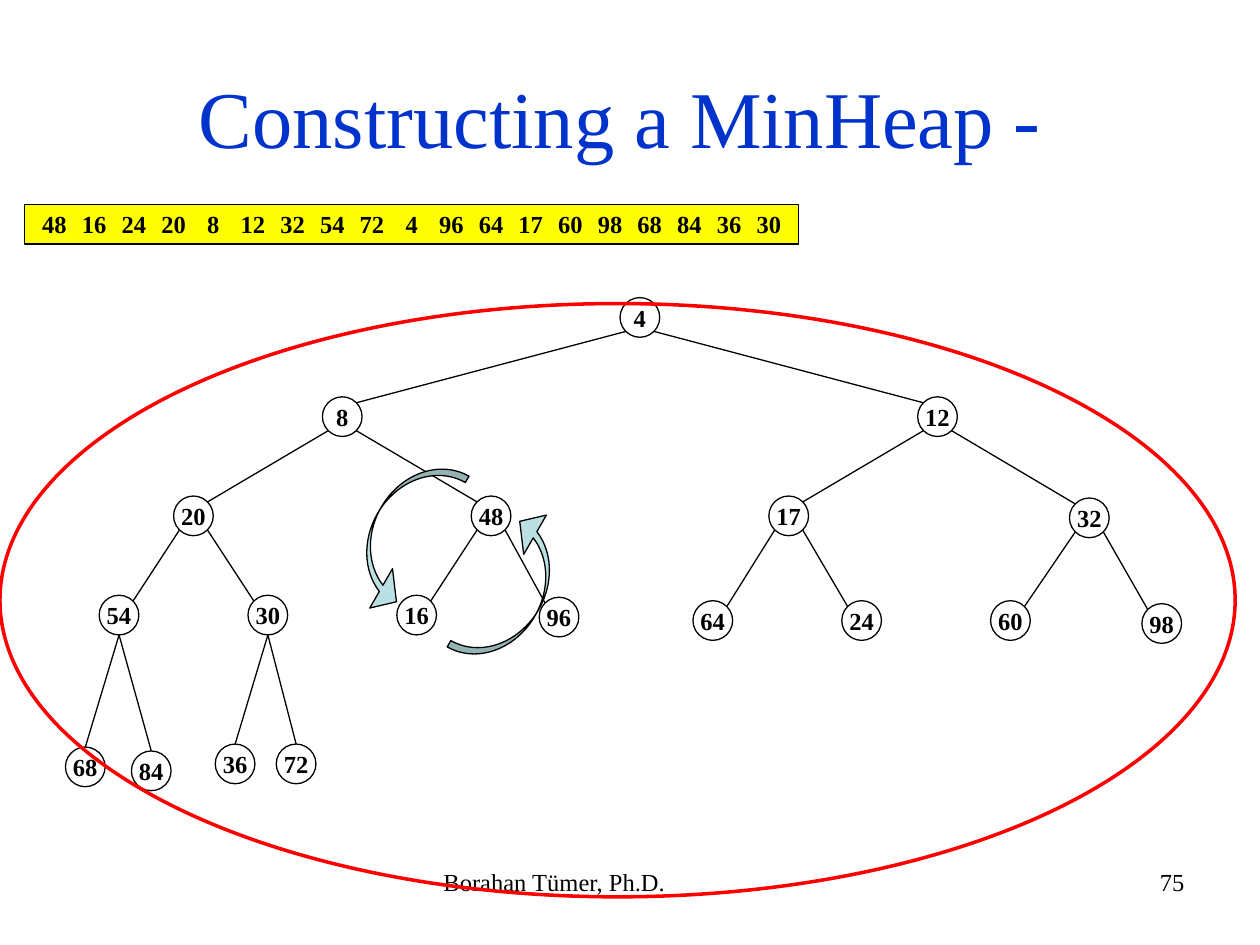
from lxml import etree
from pptx import Presentation
from pptx.dml.color import RGBColor
from pptx.enum import shapes, text
from pptx.oxml.ns import qn
from pptx.util import Cm, Pt

TITLE = "Constructing a MinHeap - "
AUTHOR, PAGE = "Borahan Tümer, Ph.D.", "75"
ARRAY = [48, 16, 24, 20, 8, 12, 32, 54, 72, 4,
         96, 64, 17, 60, 98, 68, 84, 36, 30]

# Heap in level order: key, left, top (cm)
HEAP = [
    (4, 12.5, 6),
    (8, 6.5, 8), (12, 18.5, 8),
    (20, 3.5, 10), (48, 9.5, 10), (17, 15.5, 10), (32, 21.56, 10.04),
    (54, 2, 12), (30, 5, 12), (16, 8, 12), (96, 10.87, 12.04),
    (64, 13.97, 12.11), (24, 16.97, 12.11), (60, 19.97, 12.11),
    (98, 23.02, 12.17),
    (68, 1.32, 15.06), (84, 2.65, 15.14), (36, 4.34, 15), (72, 5.57, 15),
]
# Swap arrows: left, top (cm), rotation
SWAPS = [(9.78, 10.19, 210), (7.47, 9.07, 30)]

SIZE = 0.8      # node diameter and array cell width
DIAG = 0.28     # centre to rim along each axis at 45 degrees
LEAF = 15       # first index of the bottom level
FONT = "Times New Roman"
COLORS = {"ink": "000000", "title": "0033CC", "bar": "FFFF00",
          "ring": "FF0000", "swap": "BBE0E3"}
KIND = shapes.MSO_SHAPE
MID, LEFT, RIGHT = (text.PP_ALIGN.CENTER, text.PP_ALIGN.LEFT,
                    text.PP_ALIGN.RIGHT)


def color(name):
    return RGBColor.from_string(COLORS[name])


def write(shape, words, size=14, ink="ink", bold=False, align=MID,
          anchor=text.MSO_ANCHOR.MIDDLE, inset=(0, 0), wrap=False):
    frame = shape.text_frame
    frame.word_wrap = wrap
    frame.auto_size = text.MSO_AUTO_SIZE.NONE
    frame.vertical_anchor = anchor
    frame.margin_left = frame.margin_right = Cm(inset[0])
    frame.margin_top = frame.margin_bottom = Cm(inset[1])
    para = frame.paragraphs[0]
    para.alignment = align
    run = para.add_run()
    run.text = str(words)
    run.font.name, run.font.size, run.font.bold = FONT, Pt(size), bold
    run.font.color.rgb = color(ink)


def draw(slide, kind, box, fill=None, line="ink", width=0.75):
    shape = slide.shapes.add_shape(kind, *map(Cm, box))
    shape.shadow.inherit = False
    if fill:
        shape.fill.solid()
        shape.fill.fore_color.rgb = color(fill)
    else:
        shape.fill.background()
    if line:
        shape.line.color.rgb = color(line)
        shape.line.width = Pt(width)
    else:
        shape.line.fill.background()
    return shape


def link(slide, index):
    """Join the node at index to its parent."""
    half = SIZE / 2
    (_, x1, y1), (_, x2, y2) = HEAP[(index - 1) // 2], HEAP[index]
    side = -1 if index % 2 else 1
    dx, dy = (0, half) if index >= LEAF else (side * DIAG, DIAG)
    ends = (x1 + half + dx, y1 + half + dy, x2 + half - dx, y2 + half - dy)
    edge = slide.shapes.add_connector(shapes.MSO_CONNECTOR.STRAIGHT,
                                      *map(Cm, ends))
    edge.line.color.rgb = color("ink")
    edge.line.width = Pt(0.75)
    etree.SubElement(edge._element.spPr, qn("a:effectLst"))


def main():
    deck = Presentation()
    deck.slide_width, deck.slide_height = Cm(25.4), Cm(19.05)
    slide = deck.slides.add_slide(deck.slide_layouts[5])

    title = slide.shapes.title
    title.left, title.top, title.width, title.height = map(
        Cm, (1.27, 0.76, 22.86, 3.18))
    write(title, TITLE, size=46, ink="title", inset=(0.25, 0.13), wrap=True)

    for words, left, width, align in [(AUTHOR, 8.69, 8.05, LEFT),
                                      (PAGE, 18.21, 5.92, RIGHT)]:
        box = slide.shapes.add_textbox(*map(Cm, (left, 17.35, width, 1.32)))
        write(box, words, align=align, anchor=text.MSO_ANCHOR.TOP,
              inset=(0.25, 0.13), wrap=True)

    draw(slide, KIND.RECTANGLE, (0.5, 4.12, 15.6, SIZE), fill="bar")
    for col, key in enumerate(ARRAY):
        cell = (0.7 + col * SIZE, 4.12, SIZE, SIZE)
        write(draw(slide, KIND.OVAL, cell, line=None), key, bold=True)

    for index in range(1, len(HEAP)):
        link(slide, index)
    for key, left, top in HEAP:
        node = draw(slide, KIND.OVAL, (left, top, SIZE, SIZE))
        write(node, key, bold=True)

    draw(slide, KIND.OVAL, (0, 6.12, 24.9, 11.96), line="ring", width=2)
    for left, top, turn in SWAPS:
        swap = draw(slide, KIND.CURVED_RIGHT_ARROW, (left, top, 1.22, 3.38),
                    fill="swap")
        swap.rotation = turn
        for spot, value in enumerate((0.12, 0.75, 0.33)):
            swap.adjustments[spot] = value

    deck.save("out.pptx")


if __name__ == "__main__":
    main()
